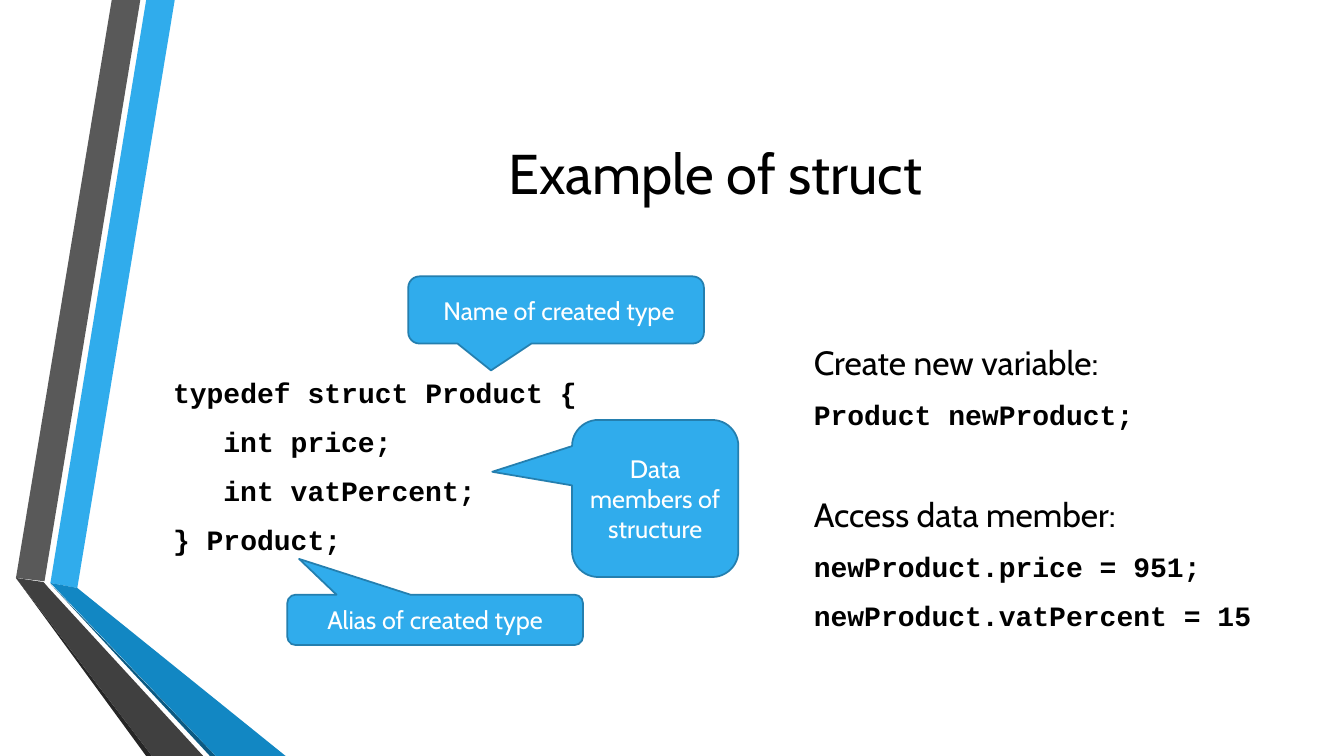
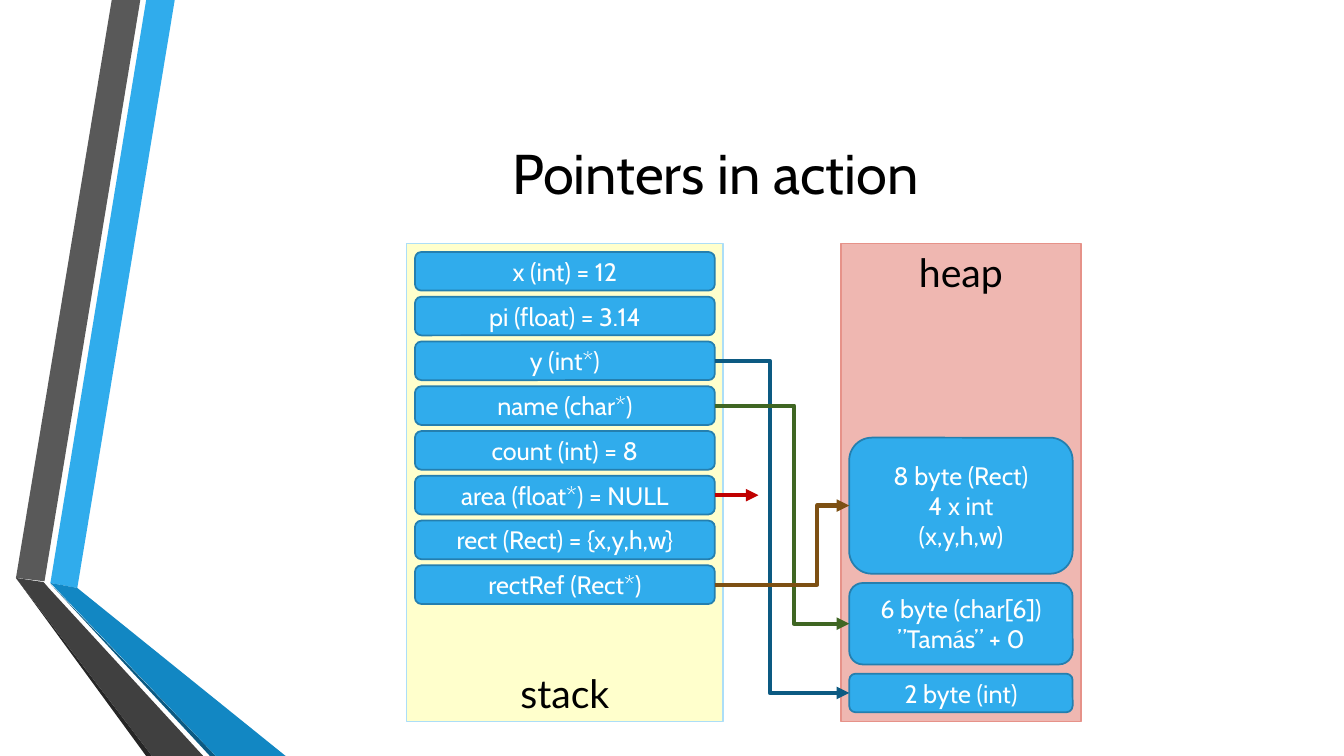
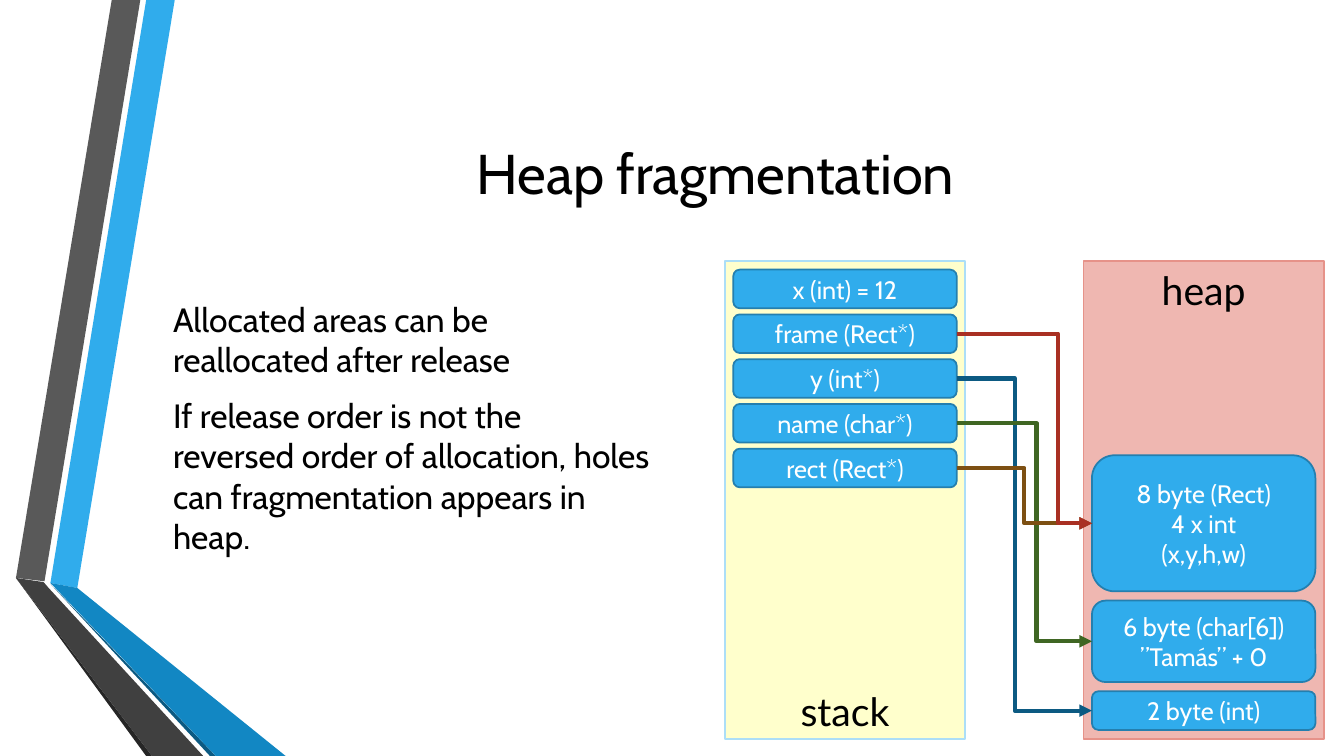
from lxml.etree import SubElement
from pptx import Presentation
from pptx.dml.color import RGBColor
from pptx.enum.shapes import MSO_CONNECTOR as Connector, MSO_SHAPE as Shape
from pptx.enum.text import MSO_ANCHOR as Anchor, MSO_AUTO_SIZE as AutoSize, PP_ALIGN as Align
from pptx.oxml.ns import qn
from pptx.util import Inches, Pt

# Grid: the slide is 160 columns by 90 rows of square cells
COLUMNS, ROWS = 160, 90
CELL = Inches(7.5) / ROWS

BLACK = RGBColor(0x00, 0x00, 0x00)
WHITE = RGBColor(0xFF, 0xFF, 0xFF)
BLUE = RGBColor(0x30, 0xAC, 0xEC)
BLUE_EDGE = RGBColor(0x24, 0x7F, 0xAF)
MID_BLUE = RGBColor(0x12, 0x87, 0xC3)
DARK_BLUE = RGBColor(0x0C, 0x5A, 0x82)
GRAY = RGBColor(0x59, 0x59, 0x59)
DARK_GRAY = RGBColor(0x40, 0x40, 0x40)
NEAR_BLACK = RGBColor(0x26, 0x26, 0x26)
YELLOW = RGBColor(0xFF, 0xFF, 0xCC)
YELLOW_EDGE = RGBColor(0xAC, 0xDE, 0xF7)
PINK = RGBColor(0xEF, 0xB7, 0xB1)
PINK_EDGE = RGBColor(0xE6, 0x92, 0x89)
GREEN = RGBColor(0x3F, 0x66, 0x23)
BROWN = RGBColor(0x7D, 0x50, 0x13)
BRICK = RGBColor(0xA9, 0x30, 0x23)
RED = RGBColor(0xC0, 0x00, 0x00)

SANS, MONO, LABEL = "Cabin", "Courier New", "Lato"

# Ribbon outlines in cells, from back to front
RIBBONS = [
    (BLUE, [(6, 69.4), (9.2, 70), (20.8, 0), (17.4, 0)]),
    (GRAY, [(16.7, 0), (13.3, 0), (1.9, 68.8), (5.3, 69.2)]),
    (NEAR_BLACK, [(1.9, 68.8), (17.4, 90), (18.1, 90)]),
    (DARK_BLUE, [(6, 69.5), (25, 90), (25.7, 90)]),
    (MID_BLUE, [(6, 69.4), (25.7, 90), (34, 90), (9.2, 70)]),
    (DARK_GRAY, [(24.2, 90), (5.8, 70), (5.2, 69.3), (1.9, 68.8), (18.1, 90)]),
]

# Memory diagram, in cells
INSET = 1
AREA_HEIGHT = 56.9
HEAP_WIDTH = 28.6
VARIABLE_HEIGHT, VARIABLE_PITCH = 4.6, 5.33
BLOCK_GAP = 1.1
LABEL_HEIGHT = 6.8
HEAP_BLOCKS = [  # from the bottom up
    ("int", "2 byte (int)", 4.6),
    ("char", "6 byte (char[6])\n”Tamás” + 0", 9.7),
    ("Rect", "8 byte (Rect)\n4 x int\n(x,y,h,w)", 16.2),
]


def cells(*lengths):
    return [round(length * CELL) for length in lengths]


def move(shape, box):
    shape.left, shape.top, shape.width, shape.height = cells(*box)


def style(paragraph, font, size, color=BLACK, bold=False):
    for run in paragraph.runs:
        run.font.name, run.font.size = font, Pt(size)
        run.font.color.rgb, run.font.bold = color, bold


def space(paragraph, before=5, indent=0):
    """Plain list paragraph without a bullet."""
    props = paragraph._p.get_or_add_pPr()
    props.set("marL", str(Inches(indent)))
    props.set("indent", "0")
    SubElement(props, qn("a:buNone"))
    paragraph.space_before, paragraph.space_after = Pt(before), Pt(6)


def write_centred(frame, text, font, size, color=BLACK):
    frame.text = text
    frame.word_wrap = True
    for paragraph in frame.paragraphs:
        paragraph.alignment = Align.CENTER
        style(paragraph, font, size, color)


def add_box(slide, kind, box, fill, edge, text=""):
    shape = slide.shapes.add_shape(kind, *cells(*box))
    shape.shadow.inherit = False
    shape.fill.solid()
    shape.fill.fore_color.rgb = fill
    shape.line.color.rgb = edge
    shape.line.width = Pt(1.25)
    if text:
        write_centred(shape.text_frame, text, SANS, 18, WHITE)
        shape.text_frame.vertical_anchor = Anchor.MIDDLE
    return shape


def add_callout(slide, box, text, tip):
    callout = add_box(slide, Shape.ROUNDED_RECTANGULAR_CALLOUT, box, BLUE, BLUE_EDGE, text)
    callout.adjustments[0], callout.adjustments[1] = tip


def add_label(slide, box, text):
    label = slide.shapes.add_textbox(*cells(*box))
    write_centred(label.text_frame, text, LABEL, 28)


def finish_arrow(arrow, color):
    arrow.line.color.rgb = color
    arrow.line.width = Pt(3)
    props = arrow.element.spPr
    SubElement(props.find(qn("a:ln")), qn("a:tailEnd"), type="triangle")
    SubElement(props, qn("a:effectLst"))


def add_pointer(slide, variable, block, color, bend):
    """Elbow arrow; bend is the share of its width where it turns."""
    pointer = slide.shapes.add_connector(Connector.ELBOW, 0, 0, 0, 0)
    pointer.begin_connect(variable, 3)
    pointer.end_connect(block, 1)
    guides = pointer.element.spPr.find(qn("a:prstGeom")).find(qn("a:avLst"))
    SubElement(guides, qn("a:gd"), name="adj1", fmla=f"val {round(bend * 100000)}")
    finish_arrow(pointer, color)


def add_null_pointer(slide, variable, length):
    x, y = variable.left + variable.width, variable.top + variable.height // 2
    pointer = slide.shapes.add_connector(Connector.STRAIGHT, x, y, x + cells(length)[0], y)
    pointer.begin_connect(variable, 3)
    finish_arrow(pointer, RED)


def add_stack(slide, left, top, width, names):
    add_box(slide, Shape.RECTANGLE, (left, top, width, AREA_HEIGHT), YELLOW, YELLOW_EDGE)
    inner_left, inner_width = left + INSET, width - 2 * INSET
    variables = []
    for row, name in enumerate(names):
        box = (inner_left, top + INSET + row * VARIABLE_PITCH, inner_width, VARIABLE_HEIGHT)
        variables.append(add_box(slide, Shape.ROUNDED_RECTANGLE, box, BLUE, BLUE_EDGE, name))
    label_top = top + AREA_HEIGHT - LABEL_HEIGHT
    add_label(slide, (inner_left, label_top, inner_width, LABEL_HEIGHT), "stack")
    return variables


def add_heap(slide, left, top):
    add_box(slide, Shape.RECTANGLE, (left, top, HEAP_WIDTH, AREA_HEIGHT), PINK, PINK_EDGE)
    inner_left, inner_width = left + INSET, HEAP_WIDTH - 2 * INSET
    add_label(slide, (inner_left, top, inner_width, LABEL_HEIGHT), "heap")
    blocks, bottom = {}, top + AREA_HEIGHT
    for key, text, height in HEAP_BLOCKS:
        bottom -= BLOCK_GAP + height
        box = (inner_left, bottom, inner_width, height)
        blocks[key] = add_box(slide, Shape.ROUNDED_RECTANGLE, box, BLUE, BLUE_EDGE, text)
    return blocks


def add_ribbons(slide, master):
    """Draw the ribbons and put them behind everything on the master."""
    for order, (color, outline) in enumerate(RIBBONS):
        points = [cells(*point) for point in outline]
        builder = slide.shapes.build_freeform(*points[0])
        builder.add_line_segments(points[1:], close=True)
        ribbon = builder.convert_to_shape()
        ribbon.shadow.inherit = False
        ribbon.fill.solid()
        ribbon.fill.fore_color.rgb = color
        ribbon.line.fill.background()
        ribbon.element.nvSpPr.cNvPr.set("id", str(100 + order))
        master.shapes.element.insert(2 + order, ribbon.element)


def add_slide(deck, layout, title):
    slide = deck.slides.add_slide(deck.slide_layouts.get_by_name(layout))
    frame = slide.shapes.title.text_frame
    write_centred(frame, title, SANS, 40)
    frame.vertical_anchor, frame.auto_size = Anchor.MIDDLE, AutoSize.NONE
    return slide


def place_body(slide, width, anchor, text):
    body = slide.placeholders[1]
    move(body, (19.4, 35, width, 41))
    frame = body.text_frame
    frame.text = text
    frame.vertical_anchor, frame.auto_size = anchor, AutoSize.NONE
    return frame.paragraphs


def build_struct(slide):
    # Declaration
    code = "typedef struct Product {\nint price;\nint vatPercent;\n} Product;"
    for paragraph, indent in zip(place_body(slide, 69.6, Anchor.MIDDLE, code), (0, 0.5, 0.5, 0)):
        space(paragraph, indent=indent)
        style(paragraph, MONO, 20, bold=True)
    add_callout(slide, (48.6, 32.9, 35.2, 8), " Name of created type", (-0.22, 0.9))
    add_callout(slide, (34.2, 70.8, 35.2, 6), "Alias of created type", (-0.46, -1.21))
    add_callout(slide, (68.1, 50, 19.8, 18.7), "Data members of structure", (-0.98, -0.17))

    # Usage
    usage = slide.shapes.add_textbox(*cells(95.7, 35, 56, 46)).text_frame
    usage.word_wrap, usage.vertical_anchor = True, Anchor.MIDDLE
    usage.text = ("Create new variable:\nProduct newProduct;\nAccess data member:\n"
                  "newProduct.price = 951;\nnewProduct.vatPercent = 15")
    for paragraph in usage.paragraphs:
        heading = paragraph.text.endswith(":")
        space(paragraph, before=39 if paragraph.text.startswith("Access") else 5)
        style(paragraph, SANS if heading else MONO, 24 if heading else 20, bold=not heading)


def build_pointers(slide):
    names = ["x (int) = 12", "pi (float) = 3.14", "y (int*)", "name (char*)", "count (int) = 8",
             "area (float*) = NULL", "rect (Rect) = {x,y,h,w}", "rectRef (Rect*)"]
    _, _, y, name, _, area, _, rect_ref = add_stack(slide, 48.4, 29, 37.7, names)
    blocks = add_heap(slide, 100.1, 29)
    add_pointer(slide, y, blocks["int"], DARK_BLUE, 0.41)
    add_pointer(slide, name, blocks["char"], GREEN, 0.59)
    add_pointer(slide, rect_ref, blocks["Rect"], BROWN, 0.76)
    add_null_pointer(slide, area, 5.2)


def build_fragmentation(slide):
    text = ("Allocated areas can be reallocated after release\n"
            "If release order is not the reversed order of allocation, "
            "holes can fragmentation appears in heap.")
    for paragraph in place_body(slide, 59.2, Anchor.TOP, text):
        space(paragraph)
        style(paragraph, SANS, 24)
    names = ["x (int) = 12", "frame (Rect*)", "y (int*)", "name (char*)", "rect (Rect*)"]
    _, frame, y, name, rect = add_stack(slide, 86.3, 31.1, 28.6, names)
    blocks = add_heap(slide, 129, 31.1)
    add_pointer(slide, y, blocks["int"], DARK_BLUE, 0.43)
    add_pointer(slide, name, blocks["char"], GREEN, 0.59)
    add_pointer(slide, rect, blocks["Rect"], BROWN, 0.5)
    add_pointer(slide, frame, blocks["Rect"], BRICK, 0.75)


def main():
    deck = Presentation()
    deck.slide_width, deck.slide_height = cells(COLUMNS, ROWS)
    master = deck.slide_master
    move(master.placeholders[0], (19.4, 9, 131.5, 23))

    struct = add_slide(deck, "Title and Content", "Example of struct")
    add_ribbons(struct, master)
    build_struct(struct)
    build_pointers(add_slide(deck, "Title Only", "Pointers in action"))
    build_fragmentation(add_slide(deck, "Title and Content", "Heap fragmentation"))
    deck.save("out.pptx")


if __name__ == "__main__":
    main()
